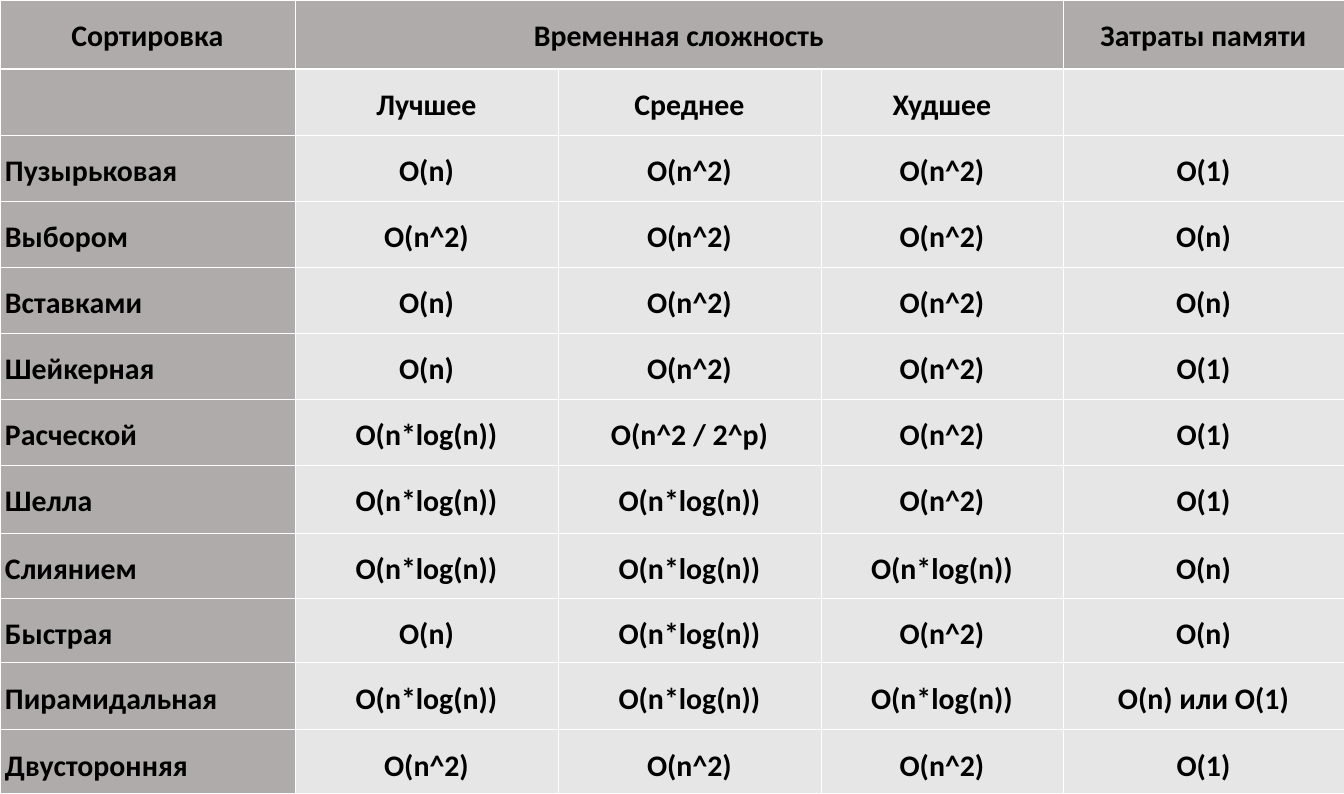
from lxml.etree import SubElement
from pptx import Presentation
from pptx.dml.color import RGBColor
from pptx.enum.text import MSO_ANCHOR, PP_ALIGN as Align
from pptx.oxml.ns import qn
from pptx.util import Pt

PX = 13627  # EMU in one px
WHITE, BLACK, HEADER_GRAY, BODY_GRAY = "FFFFFF", "000000", "AFABAB", "E7E6E6"


def write(cell, text, size=32, color=BLACK, bold=True, align=Align.CENTER):
    paragraph = cell.text_frame.paragraphs[0]
    paragraph.alignment = align
    paragraph.line_spacing = 1.5
    paragraph.space_after = Pt(8)
    run = paragraph.add_run()
    run.text = text
    run.font.name = "Calibri"
    run.font.size = Pt(size)
    run.font.bold = bold
    run.font.color.rgb = RGBColor.from_string(color)


def set_borders(cell, color=WHITE, **widths):
    properties = cell._tc.get_or_add_tcPr()
    for side in "LRTB":
        line = SubElement(properties, qn(f"a:ln{side}"), w=str(Pt(widths.get(side, 1))))
        fill = SubElement(line, qn("a:solidFill"))
        SubElement(fill, qn("a:srgbClr"), val=color)


# Wording
rows = [
    ("Сортировка", "Временная сложность", "", "", "Затраты памяти"),
    ("", "Лучшее", "Среднее", "Худшее", ""),
    ("Пузырьковая", "O(n)", "O(n^2)", "O(n^2)", "O(1)"),
    ("Выбором", "O(n^2)", "O(n^2)", "O(n^2)", "O(n)"),
    ("Вставками", "O(n)", "O(n^2)", "O(n^2)", "O(n)"),
    ("Шейкерная", "O(n)", "O(n^2)", "O(n^2)", "O(1)"),
    ("Расческой", "O(n*log(n))", "O(n^2 / 2^p)", "O(n^2)", "O(1)"),
    ("Шелла", "O(n*log(n))", "O(n*log(n))", "O(n^2)", "O(1)"),
    ("Слиянием", "O(n*log(n))", "O(n*log(n))", "O(n*log(n))", "O(n)"),
    ("Быстрая", "O(n)", "O(n*log(n))", "O(n^2)", "O(n)"),
    ("Пирамидальная", "O(n*log(n))", "O(n*log(n))", "O(n*log(n))", "O(n) или O(1)"),
    ("Двусторонняя", "O(n^2)", "O(n^2)", "O(n^2)", "O(1)"),
]
column_widths = [295, 263, 263, 242, 281]
row_heights = [69] + [66] * 6 + [68, 65, 65, 67, 64]

# Slide
presentation = Presentation()
presentation.slide_width = sum(column_widths) * PX
presentation.slide_height = sum(row_heights) * PX
slide = presentation.slides.add_slide(presentation.slide_layouts[6])

# Table grid
table = slide.shapes.add_table(
    len(rows), len(column_widths), 0, 0,
    presentation.slide_width, presentation.slide_height).table
table.first_row = table.horz_banding = False
for column, width in zip(table.columns, column_widths):
    column.width = width * PX
for row, height in zip(table.rows, row_heights):
    row.height = height * PX
table.cell(0, 1).merge(table.cell(0, 3))

# Cells: gray top row and first column, a thicker line under the top row
for r, texts in enumerate(rows):
    for c, text in enumerate(texts):
        cell = table.cell(r, c)
        cell.margin_left = cell.margin_right = 5 * PX
        cell.margin_top = cell.margin_bottom = 0
        cell.vertical_anchor = MSO_ANCHOR.TOP
        set_borders(cell, T=3 if r == 1 else 1, B=3 if r == 0 else 1)
        cell.fill.solid()
        cell.fill.fore_color.rgb = RGBColor.from_string(
            HEADER_GRAY if r == 0 or c == 0 else BODY_GRAY)
        if text:
            write(cell, text, align=Align.LEFT if c == 0 and r > 1 else Align.CENTER)

presentation.save("out.pptx")
